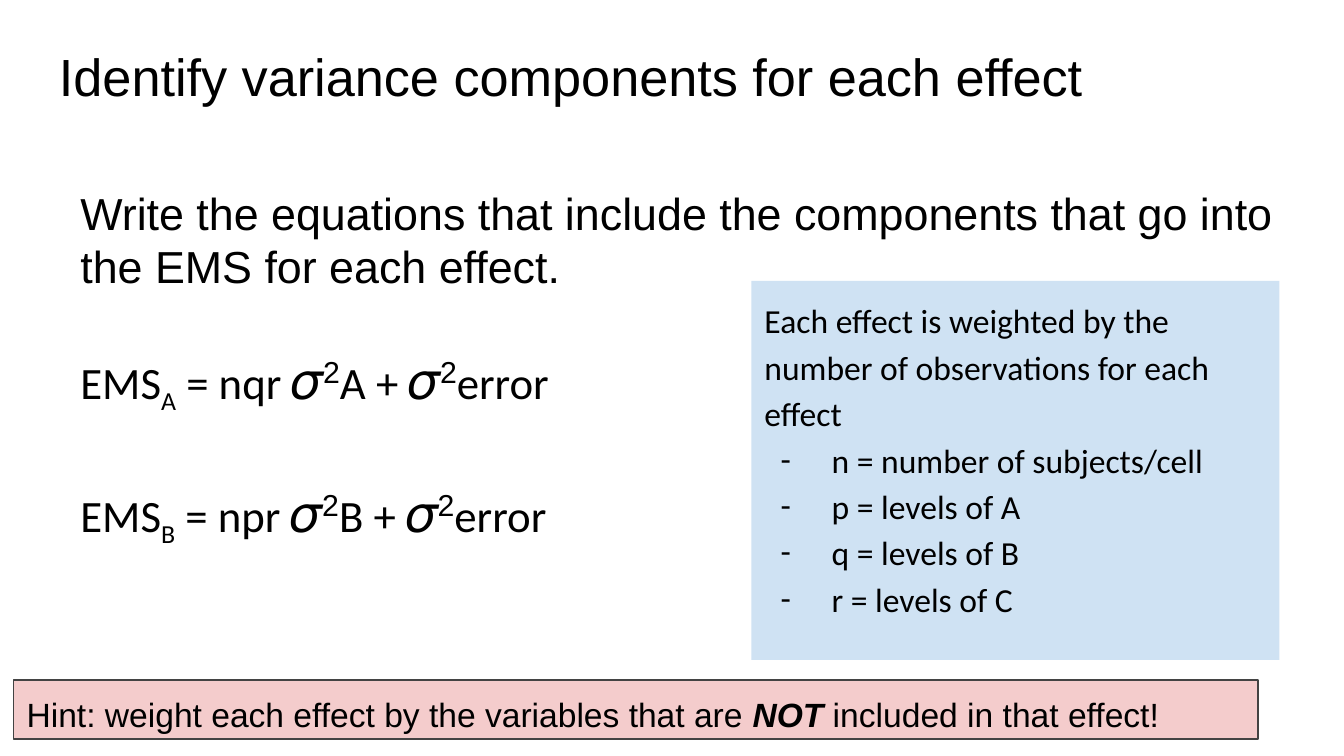
"""Build the slide on variance components and expected mean squares."""
from dataclasses import dataclass
from typing import Optional

from lxml import etree
from pptx import Presentation
from pptx.dml.color import RGBColor
from pptx.enum.shapes import MSO_SHAPE
from pptx.enum.text import MSO_ANCHOR, PP_ALIGN
from pptx.oxml.ns import qn
from pptx.util import Inches, Pt

RECT = MSO_SHAPE.RECTANGLE
TOP = MSO_ANCHOR.TOP
LEFT = PP_ALIGN.LEFT
BLACK = RGBColor(0x00, 0x00, 0x00)
BLUE = RGBColor(0xCF, 0xE2, 0xF3)
PINK = RGBColor(0xF4, 0xCC, 0xCC)
GRAY = RGBColor(0x43, 0x43, 0x43)
SIGMA = "\U0001d70e"


@dataclass
class Run:
    text: str
    size: float
    font: str = "Arial"
    strong: bool = False
    baseline: int = 0


@dataclass
class Para:
    runs: list[Run]
    spacing: float = 1.0
    before: float = 0
    bullet: bool = False


@dataclass
class Box:
    at: tuple[float, float, float, float]
    paras: list[Para]
    fill: Optional[RGBColor] = None
    line: Optional[RGBColor] = None


def add_bullet(p, font: str) -> None:
    """Give a paragraph a hanging dash bullet."""
    pPr = p._p.get_or_add_pPr()
    pPr.set("marL", str(Inches(0.5)))
    pPr.set("indent", str(Inches(-0.38)))
    color = etree.SubElement(pPr, qn("a:buClr"))
    etree.SubElement(color, qn("a:srgbClr")).set("val", str(BLACK))
    etree.SubElement(pPr, qn("a:buFont")).set("typeface", font)
    etree.SubElement(pPr, qn("a:buChar")).set("char", "-")


def add_para(p, para: Para) -> None:
    """Fill one paragraph with its format, bullet and runs."""
    formats = {"alignment": LEFT, "line_spacing": para.spacing, "space_before": Pt(para.before)}
    for name, value in formats.items():
        setattr(p, name, value)
    if para.bullet:
        add_bullet(p, para.runs[0].font)
    for run in para.runs:
        r = p.add_run()
        r.text = run.text
        fonts = {"name": run.font, "size": Pt(run.size), "bold": run.strong, "italic": run.strong}
        for name, value in fonts.items():
            setattr(r.font, name, value)
        r.font.color.rgb = BLACK
        if run.baseline:
            r.font._element.set("baseline", str(run.baseline * 1000))


def add_box(s, box: Box) -> None:
    """Draw a text box, or a rectangle when the box has a fill."""
    at = [Inches(v) for v in box.at]
    if box.fill is None:
        sp = s.shapes.add_textbox(*at)
    else:
        sp = s.shapes.add_shape(RECT, *at)
        sp.shadow.inherit = False
        sp.fill.solid()
        sp.fill.fore_color.rgb = box.fill
        if box.line is None:
            sp.line.fill.background()
        else:
            sp.line.color.rgb = box.line
            sp.line.width = Pt(0.75)
    tf = sp.text_frame
    frame = {"word_wrap": True, "vertical_anchor": TOP}
    frame.update({f"margin_{side}": Inches(0.1) for side in ("left", "right", "top", "bottom")})
    for name, value in frame.items():
        setattr(tf, name, value)
    for i, para in enumerate(box.paras):
        add_para(tf.add_paragraph() if i else tf.paragraphs[0], para)


def equation(effect: str, weight: str, spacing: float) -> Para:
    """Return the expected mean square equation of one effect."""
    squared = [Run(SIGMA, 28), Run("2", 28, baseline=30)]
    return Para([
        Run("EMS", 24, "Calibri"), Run(effect, 24, "Calibri", baseline=-25),
        Run(f" = {weight} ", 24, "Calibri"), *squared,
        Run(f"{effect} + ", 24, "Calibri"), *squared, Run("error", 24, "Calibri"),
    ], spacing, before=29)


def note(text: str, bullet: bool = True) -> Para:
    """Return one line of the weighting note."""
    return Para([Run(text, 18, "Calibri")], 1.15, bullet=bullet)


BOXES = [
    Box((0.34, 0.23, 9.32, 0.63), [Para([Run("Identify variance components for each effect", 28)])]),
    Box((0.5, 1.28, 9.26, 3.36), [
        Para([Run("Write the equations that include the components that go into "
                  "the EMS for each effect.", 24)]),
        equation("A", "nqr", 1.0),
        equation("B", "npr", 1.15),
    ]),
    Box((5.59, 2.09, 3.93, 2.82), [
        note("Each effect is weighted by the number of observations for each effect", False),
        note("n = number of subjects/cell"),
        *[note(f"{symbol} = levels of {factor}") for symbol, factor in zip("pqr", "ABC")],
    ], BLUE),
    Box((0.1, 5.06, 9.26, 0.44), [Para([
        Run("Hint: weight each effect by the variables that are ", 18),
        Run("NOT", 18, strong=True), Run(" included in that effect!", 18),
    ])], PINK, GRAY),
]


def main() -> None:
    """Build and save the presentation."""
    prs = Presentation()
    prs.slide_width = Inches(10)
    prs.slide_height = prs.slide_width * 9 // 16
    s = prs.slides.add_slide(prs.slide_layouts[6])
    for box in BOXES:
        add_box(s, box)
    prs.save("out.pptx")


main()
